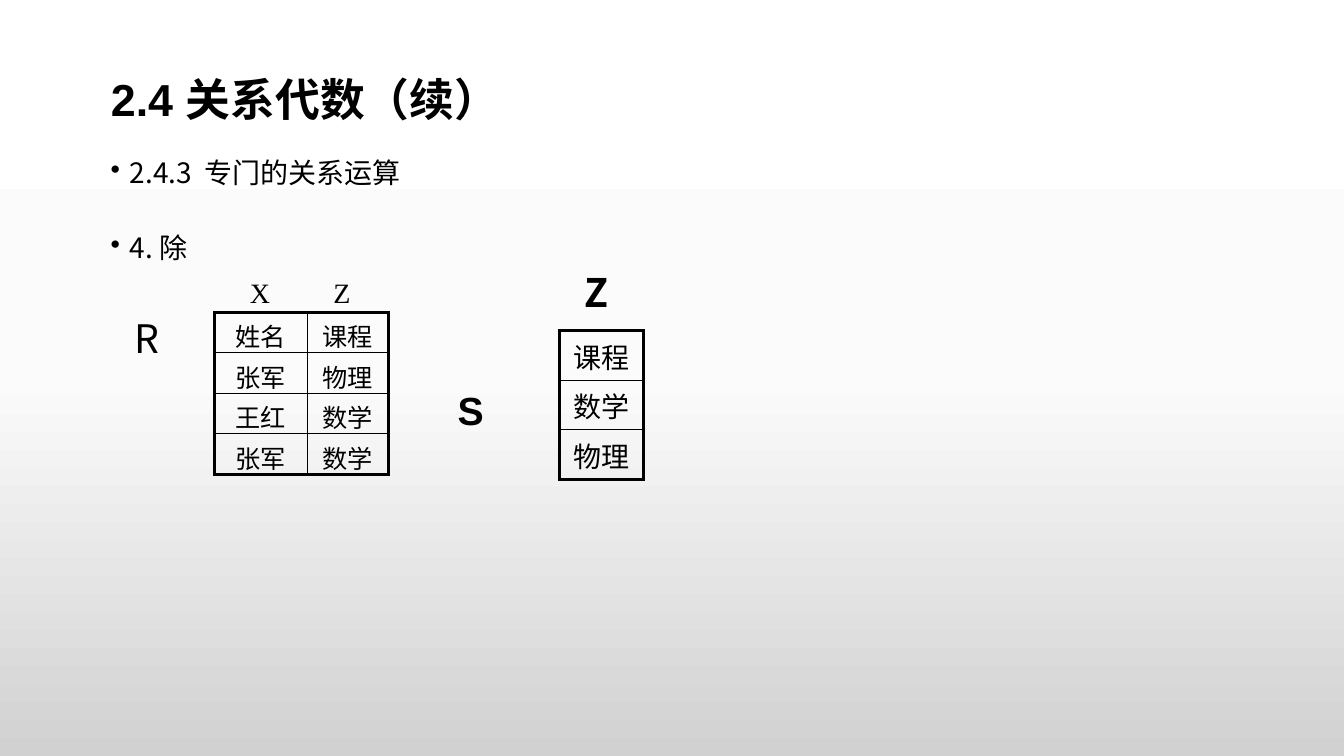
from copy import deepcopy

from lxml.etree import SubElement
from pptx import Presentation
from pptx.dml.color import RGBColor
from pptx.enum.text import MSO_ANCHOR, PP_ALIGN
from pptx.oxml import parse_xml
from pptx.oxml.ns import nsdecls, qn
from pptx.util import Cm, Pt

CHINESE_FONT = "Noto Sans CJK SC"
SERIF_FONT = "Times New Roman"
TITLE_FONT = "Arial"


def color(value):
    return RGBColor.from_string(value)


class SlideBuilder:
    ink = "000000"
    thick, thin = 2.25, 1

    def __init__(self, presentation):
        self.slide = presentation.slides.add_slide(presentation.slide_layouts[5])

    def background(self, stops):
        fill = self.slide.background.fill
        fill.gradient()
        fill.gradient_angle = 270
        stop_list = self.slide.element.find(".//" + qn("a:gsLst"))
        stop_list.append(deepcopy(stop_list[0]))
        for stop, (position, value) in zip(fill.gradient_stops, stops):
            stop.position = position
            stop.color.rgb = color(value)

    def set_text(self, paragraph, text, size, font, bold=False, align=PP_ALIGN.LEFT):
        paragraph.text = text
        paragraph.alignment = align
        paragraph.font.size = Pt(size)
        paragraph.font.name = font
        paragraph.font.bold = bold
        paragraph.font.color.rgb = color(self.ink)
        east_asian = SubElement(paragraph._p.pPr.find(qn("a:defRPr")), qn("a:ea"))
        east_asian.set("typeface", CHINESE_FONT)

    def title(self, text, left, top, width, height):
        shape = self.slide.shapes.title
        shape.left, shape.top, shape.width, shape.height = map(Cm, (left, top, width, height))
        shape.text_frame.vertical_anchor = MSO_ANCHOR.MIDDLE
        paragraph = shape.text_frame.paragraphs[0]
        self.set_text(paragraph, text, 32, TITLE_FONT, bold=True)
        paragraph.line_spacing = 0.9

    def text_box(self, left, top, width, height):
        shape = self.slide.shapes.add_textbox(*map(Cm, (left, top, width, height)))
        shape.text_frame.word_wrap = True
        return shape.text_frame

    def label(self, text, left, top, width, height, size, font, bold=False, align=PP_ALIGN.LEFT):
        frame = self.text_box(left, top, width, height)
        self.set_text(frame.paragraphs[0], text, size, font, bold, align)

    def body(self, lines, left, top, width, height):
        frame = self.text_box(left, top, width, height)
        for index, (text, size, space, bulleted) in enumerate(lines):
            paragraph = frame.add_paragraph() if index else frame.paragraphs[0]
            self.set_text(paragraph, text, size, CHINESE_FONT)
            paragraph.line_spacing = 0.9
            paragraph.space_before = Pt(space)
            properties = paragraph._p.get_or_add_pPr()
            properties.set("marL", str(Cm(0.48 if bulleted else 0.59)))
            if bulleted:
                properties.set("indent", str(Cm(-0.48)))
                bullet = parse_xml(f'<a:buChar {nsdecls("a")} char="•"/>')
                properties.find(qn("a:defRPr")).addprevious(bullet)

    def borders(self, cell, widths):
        properties = cell._tc.get_or_add_tcPr()
        for index, (side, width) in enumerate(widths.items()):
            properties.insert(index, parse_xml(
                f'<a:ln{side} {nsdecls("a")} w="{Pt(width)}"><a:solidFill>'
                f'<a:srgbClr val="{self.ink}"/></a:solidFill></a:ln{side}>'))

    def table(self, rows, left, top, column_widths, row_height, size):
        row_count, column_count = len(rows), len(column_widths)
        table = self.slide.shapes.add_table(
            row_count, column_count, Cm(left), Cm(top),
            Cm(sum(column_widths)), Cm(row_height * row_count)).table
        table.first_row = table.horz_banding = False
        for column, width in zip(table.columns, column_widths):
            column.width = Cm(width)
        for r, values in enumerate(rows):
            table.rows[r].height = Cm(row_height)
            for c, value in enumerate(values):
                cell = table.cell(r, c)
                cell.fill.background()
                self.set_text(cell.text_frame.paragraphs[0], value, size, SERIF_FONT,
                              align=PP_ALIGN.CENTER)
                outer = {"L": c == 0, "R": c == column_count - 1,
                         "T": r == 0, "B": r == row_count - 1}
                self.borders(cell, {side: self.thick if edge else self.thin
                                    for side, edge in outer.items()})


def main():
    presentation = Presentation()
    presentation.slide_width, presentation.slide_height = Cm(33.87), Cm(19.05)
    builder = SlideBuilder(presentation)
    builder.background([(0, "FFFFFF"), (0.5, "FBFBFB"), (1, "D1D1D1")])

    # Title and section headings
    builder.title("2.4 关系代数（续）", 2.54, 1.52, 21.59, 2.11)
    builder.body([("2.4.3  专门的关系运算", 20, 7.5, True),
                  ("4. 除", 20, 32, True),
                  ("R", 28, 39, False)], 2.54, 3.89, 21.59, 13.33)

    # Relation R with attribute groups X and Z
    builder.table([("姓名", "课程"), ("张军", "物理"), ("王红", "数学"), ("张军", "数学")],
                  5.41, 7.87, (2.33, 2.05), 1.02, 18)
    builder.label("Z", 8.15, 6.83, 1.47, 1.09, 20, SERIF_FONT)
    builder.label("X", 6.05, 6.83, 1.27, 1.09, 20, SERIF_FONT)

    # Relation S with attribute group Z
    builder.label("S", 10.49, 9.6, 2.74, 1.45, 28, TITLE_FONT, True, PP_ALIGN.CENTER)
    builder.table([("课程",), ("数学",), ("物理",)], 14.1, 8.33, (2.11,), 1.25, 20)
    builder.label("Z", 13.67, 6.63, 2.74, 1.45, 28, CHINESE_FONT, True, PP_ALIGN.CENTER)

    presentation.save("out.pptx")


if __name__ == "__main__":
    main()
